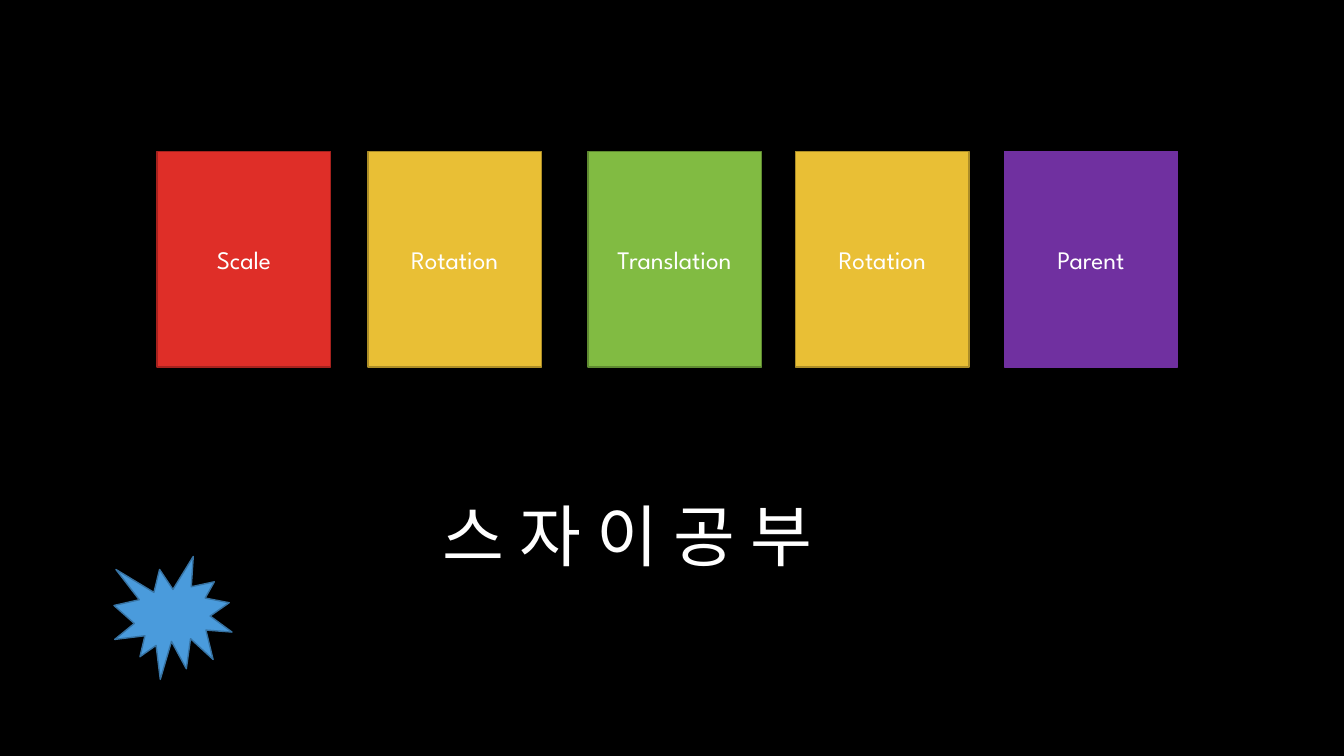
"""Build the slide with the chain of transform matrices."""
from dataclasses import dataclass
from typing import Any

import pptx
import pptx.dml.color
import pptx.enum.shapes
import pptx.enum.text
import pptx.util

FONT = "League Spartan"
WHITE = "FFFFFF"
SHAPE = pptx.enum.shapes.MSO_SHAPE
ANCHOR = pptx.enum.text.MSO_ANCHOR
ALIGN = pptx.enum.text.PP_ALIGN

prs = pptx.Presentation()
prs.slide_width = pptx.util.Inches(13.33)
prs.slide_height = pptx.util.Inches(7.5)

# All positions and sizes are percentages of the slide's width and height.
CARD_TOP, CARD_WIDTH, CARD_HEIGHT = 20, 12.9, 28.53


@dataclass(frozen=True)
class Box:
    """A rectangle in percent of the slide."""
    left: float
    top: float
    width: float
    height: float


@dataclass(frozen=True)
class Card:
    """One transform step in the chain."""
    label: str
    left: float
    fill: str
    line: str


CARDS = [
    Card("Scale", 11.7, "DF2E28", "A5221E"),
    Card("Rotation", 27.38, "E9BF35", "AC8D27"),
    Card("Translation", 43.74, "81BB42", "5F8A31"),
    Card("Rotation", 59.19, "E9BF35", "AC8D27"),
    Card("Parent", 74.72, "7030A0", "7030A0"),
]


def rgb(value: str) -> pptx.dml.color.RGBColor:
    """Turn a hex string into a colour."""
    return pptx.dml.color.RGBColor.from_string(value)


def place(box: Box) -> tuple[int, int, int, int]:
    """Convert a box to left, top, width and height in EMU."""
    w, h = prs.slide_width / 100, prs.slide_height / 100
    return (round(box.left * w), round(box.top * h),
            round(box.width * w), round(box.height * h))


def add_shape(s: Any, kind: Any, box: Box, fill: str, line: str) -> Any:
    """Add a flat preset shape with a one-point outline."""
    sp = s.shapes.add_shape(kind, *place(box))
    sp.shadow.inherit = False
    sp.fill.solid()
    sp.fill.fore_color.rgb = rgb(fill)
    sp.line.color.rgb = rgb(line)
    sp.line.width = pptx.util.Pt(1)
    return sp


def write(sp: Any, text: str, size: float, align: Any, anchor: Any) -> None:
    """Write one white line of text into a shape."""
    tf = sp.text_frame
    tf.word_wrap = True
    tf.vertical_anchor = anchor
    p = tf.paragraphs[0]
    p.alignment = align
    r = p.add_run()
    r.text = text
    r.font.name = FONT
    r.font.size = pptx.util.Pt(size)
    r.font.color.rgb = rgb(WHITE)


def add_card(s: Any, card: Card) -> None:
    """Draw one labelled transform card."""
    box = Box(card.left, CARD_TOP, CARD_WIDTH, CARD_HEIGHT)
    sp = add_shape(s, SHAPE.RECTANGLE, box, card.fill, card.line)
    write(sp, card.label, 18, ALIGN.CENTER, ANCHOR.MIDDLE)


def set_title(s: Any, text: str, box: Box) -> None:
    """Move the title placeholder to the box and fill it."""
    sp = s.shapes.title
    sp.left, sp.top, sp.width, sp.height = place(box)
    write(sp, text, 48, ALIGN.LEFT, ANCHOR.TOP)
    sp.text_frame.auto_size = pptx.enum.text.MSO_AUTO_SIZE.SHAPE_TO_FIT_TEXT


s = prs.slides.add_slide(prs.slide_layouts.get_by_name("Title Only"))
s.background.fill.solid()
s.background.fill.fore_color.rgb = rgb("000000")

for card in CARDS:
    add_card(s, card)
add_shape(s, SHAPE.EXPLOSION1, Box(8.48, 73.6, 8.78, 16.27), "4A9BDC", "3773A3")
set_title(s, "스 자 이 공 부", Box(32.18, 64.67, 50.04, 12.13))

prs.save("out.pptx")
